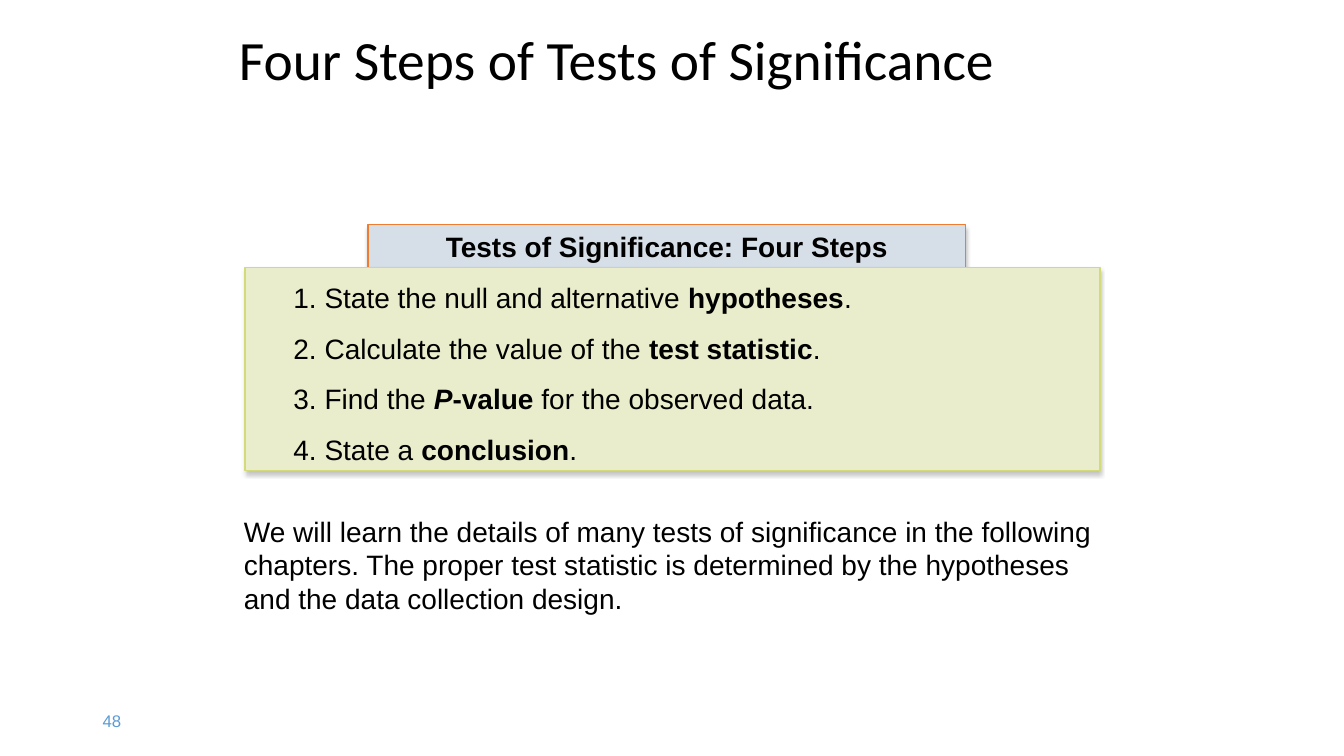
from lxml import etree
from pptx import Presentation
from pptx.dml.color import RGBColor
from pptx.enum import shapes, text
from pptx.oxml import ns
from pptx.util import Inches, Pt

COLORS = {
    "ink": "000000",
    "number": "5B9BD5",
    "label_fill": "D6DFE8",
    "label_line": "ED7D31",
    "steps_fill": "EAEDCB",
    "steps_line": "D2DA7A",
    "shadow": "808080",
}

# Each step is a list of (wording, bold, italic)
STEPS = [
    [("1. State the null and alternative ", False, False),
     ("hypotheses", True, False), (".", False, False)],
    [("2. Calculate the value of the ", False, False),
     ("test statistic", True, False), (".", False, False)],
    [("3. Find the ", False, False), ("P", True, True),
     ("-value", True, False), (" for the observed data.", False, False)],
    [("4. State a ", False, False),
     ("conclusion", True, False), (".", False, False)],
]
OUTLOOK = ("We will learn the details of many tests of significance in the "
           "following chapters. The proper test statistic is determined by "
           "the hypotheses and the data collection design.")


def color(name):
    return RGBColor.from_string(COLORS[name])


def place(box, left, top, width, height):
    box.left, box.top = Inches(left), Inches(top)
    box.width, box.height = Inches(width), Inches(height)


def set_frame(box, anchor):
    frame = box.text_frame
    frame.word_wrap = True
    frame.auto_size = text.MSO_AUTO_SIZE.NONE
    frame.vertical_anchor = anchor
    return frame


def add_span(para, wording, size=20, font="Arial", ink="ink",
             bold=False, italic=False):
    span = para.add_run()
    span.text = wording
    span.font.name, span.font.size = font, Pt(size)
    span.font.bold, span.font.italic = bold, italic
    span.font.color.rgb = color(ink)


def style_panel(box, fill, line):
    """Fill, thin outline and a soft shadow straight below."""
    box.fill.solid()
    box.fill.fore_color.rgb = color(fill)
    box.line.color.rgb = color(line)
    box.line.width = Pt(0.79)
    box.shadow.inherit = False
    effects = box.element.spPr.find(ns.qn("a:effectLst"))
    shadow = etree.SubElement(
        effects, ns.qn("a:outerShdw"), blurRad=str(Pt(3)),
        dist=str(Pt(2.4)), dir="5400000", rotWithShape="0")
    tint = etree.SubElement(shadow, ns.qn("a:srgbClr"), val=COLORS["shadow"])
    etree.SubElement(tint, ns.qn("a:alpha"), val="45000")


def set_title(page, wording):
    title = page.shapes.title
    place(title, 2.27, 0.23, 8.17, 0.79)
    para = set_frame(title, text.MSO_ANCHOR.MIDDLE).paragraphs[0]
    para.alignment = text.PP_ALIGN.LEFT
    para.line_spacing = 0.9
    add_span(para, wording, size=39.6, font="Calibri")


def add_label(page, wording):
    label = page.shapes.add_shape(
        shapes.MSO_SHAPE.RECTANGLE,
        Inches(3.65), Inches(2.23), Inches(5.93), Inches(0.44))
    style_panel(label, "label_fill", "label_line")
    para = set_frame(label, text.MSO_ANCHOR.TOP).paragraphs[0]
    para.alignment = text.PP_ALIGN.CENTER
    add_span(para, wording, bold=True)


def set_steps(page, steps):
    panel = page.placeholders[1]
    place(panel, 2.43, 2.65, 8.48, 2.02)
    style_panel(panel, "steps_fill", "steps_line")
    frame = set_frame(panel, text.MSO_ANCHOR.BOTTOM)
    for index, step in enumerate(steps):
        para = frame.add_paragraph() if index else frame.paragraphs[0]
        para.space_before, para.space_after = Pt(0), Pt(12)
        para.line_spacing = 1.0
        layout = para._p.get_or_add_pPr()
        layout.set("marL", str(Inches(0.38)))
        layout.set("indent", "0")
        etree.SubElement(layout, ns.qn("a:buNone"))
        for wording, bold, italic in step:
            add_span(para, wording, bold=bold, italic=italic)
    # The panel covers the lower edge of the label
    page.shapes.element.append(panel.element)


def add_text(page, wording, left, top, width, height,
             anchor=text.MSO_ANCHOR.TOP, **style):
    box = page.shapes.add_textbox(
        Inches(left), Inches(top), Inches(width), Inches(height))
    add_span(set_frame(box, anchor).paragraphs[0], wording, **style)


def main():
    deck = Presentation()
    deck.slide_width, deck.slide_height = Inches(13.33), Inches(7.5)
    page = deck.slides.add_slide(deck.slide_layouts[1])

    # Heading
    set_title(page, "Four Steps of Tests of Significance")

    # Labelled panel with the four steps
    add_label(page, "Tests of Significance: Four Steps")
    set_steps(page, STEPS)

    # Outlook and page number
    add_text(page, OUTLOOK, 2.32, 5.05, 8.65, 1.11)
    add_text(page, "48", 0.92, 6.95, 3, 0.4,
             anchor=text.MSO_ANCHOR.MIDDLE, size=12, ink="number")

    deck.save("out.pptx")


if __name__ == "__main__":
    main()
